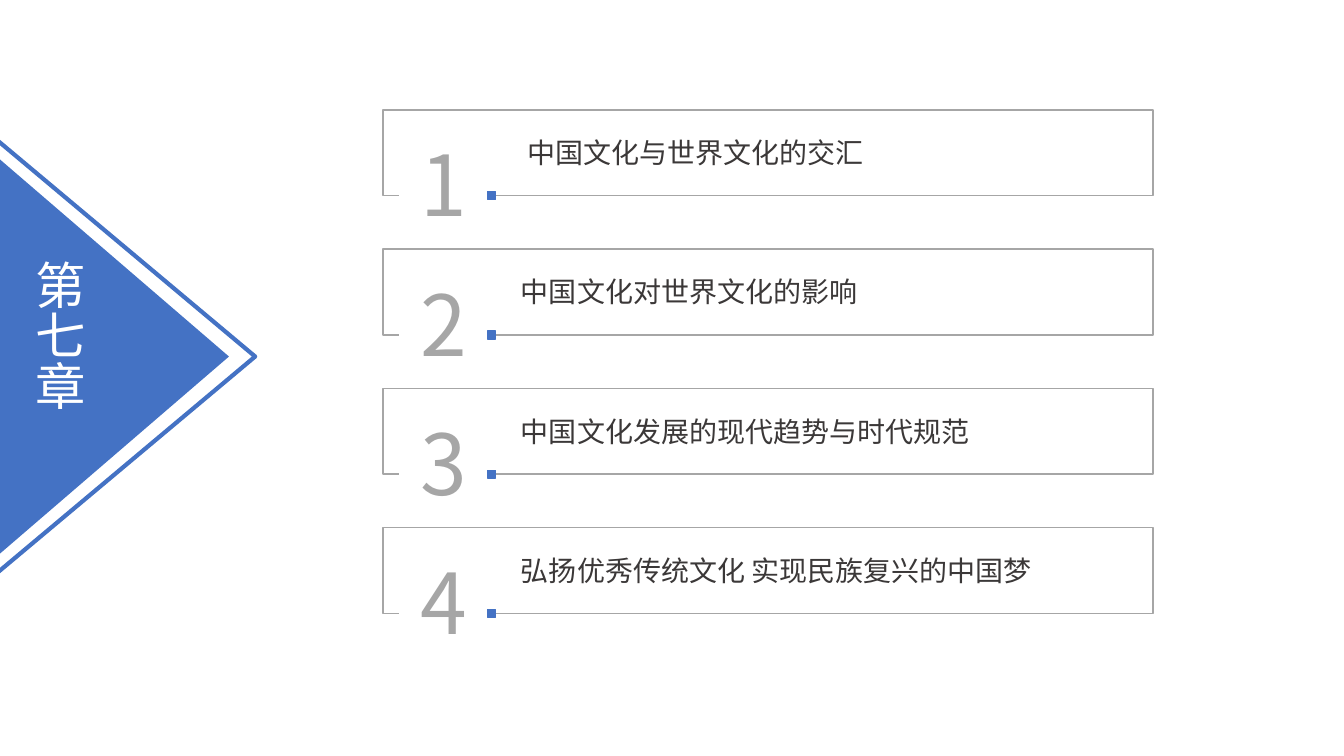
"""Build the chapter seven contents slide with four numbered section boxes."""
from dataclasses import dataclass

from pptx import Presentation
from pptx import util as u
from pptx.dml.color import RGBColor
from pptx.enum import shapes, text
from pptx.oxml.ns import qn


@dataclass(frozen=True)
class Theme:
    font: str = "Noto Sans CJK SC"
    blue: str = "4472C4"
    grey: str = "A6A6A6"
    ink: str = "3B3838"
    white: str = "FFFFFF"
    chapter_size: int = 36
    number_size: int = 60
    section_size: int = 20


theme = Theme()


def add_preset(parent, preset, box, fill=None, line=None, weight=1):
    shape = parent.add_shape(preset, *map(u.Cm, box))
    shape.shadow.inherit = False
    if fill:
        shape.fill.solid()
        shape.fill.fore_color.rgb = RGBColor.from_string(fill)
    else:
        shape.fill.background()
    if line:
        shape.line.color.rgb = RGBColor.from_string(line)
        shape.line.width = u.Pt(weight)
    else:
        shape.line.fill.background()
    return shape


def write(shape, words, size, color, align, wrap=True):
    frame = shape.text_frame
    frame.word_wrap = wrap
    frame.auto_size = text.MSO_AUTO_SIZE.SHAPE_TO_FIT_TEXT
    paragraph = frame.paragraphs[0]
    paragraph.alignment = align
    run = paragraph.add_run()
    run.text = words
    run.font.size = u.Pt(size)
    run.font.name = theme.font
    run.font.color.rgb = RGBColor.from_string(color)
    east_asian = run.font._element.makeelement(qn("a:ea"), {"typeface": theme.font})
    run.font._element.find(qn("a:latin")).addnext(east_asian)


deck = Presentation()
deck.slide_width, deck.slide_height = u.Cm(33.87), u.Cm(19.05)
slide = deck.slides.add_slide(deck.slide_layouts[5])

rect = shapes.MSO_SHAPE.RECTANGLE
triangle = shapes.MSO_SHAPE.ISOSCELES_TRIANGLE
center, left = text.PP_ALIGN.CENTER, text.PP_ALIGN.LEFT

arrow = add_preset(slide.shapes, triangle, (-2.08, 6.1, 9.93, 5.77), fill=theme.blue)
arrow.rotation = 90

chapter = slide.shapes.title
chapter.left, chapter.top, chapter.width, chapter.height = map(u.Cm, (0.43, 6.43, 2.06, 5.11))
write(chapter, "第七章", theme.chapter_size, theme.white, center)
chapter.text_frame.vertical_anchor = text.MSO_ANCHOR.TOP
chapter.text_frame._txBody.bodyPr.set("vert", "eaVert")
arrow.element.addnext(chapter.element)

arrow_outline = add_preset(slide.shapes, triangle, (-2.31, 5.72, 10.95, 6.53),
                           line=theme.blue, weight=3)
arrow_outline.rotation = 90

sections = [
    (" 中国文化与世界文化的交汇", 9.25),
    ("中国文化对世界文化的影响", 9.25),
    ("中国文化发展的现代趋势与时代规范", 11.91),
    ("弘扬优秀传统文化 实现民族复兴的中国梦", 13.54),
]
first_top, pitch = 2.77, 3.51

for index, (heading, heading_width) in enumerate(sections):
    top = first_top + index * pitch
    section = slide.shapes.add_group_shape().shapes
    add_preset(section, rect, (9.65, top, 19.41, 2.16), line=theme.grey)
    number = add_preset(section, rect, (10.06, top + 0.44, 2.24, 2.82), fill=theme.white)
    write(number, str(index + 1), theme.number_size, theme.grey, center)
    add_preset(section, rect, (12.29, top + 2.06, 0.2, 0.2), fill=theme.blue, line=theme.blue)
    label = section.add_textbox(*map(u.Cm, (12.88, top + 0.52, heading_width, 1.12)))
    write(label, heading, theme.section_size, theme.ink, left, wrap=False)

deck.save("out.pptx")
